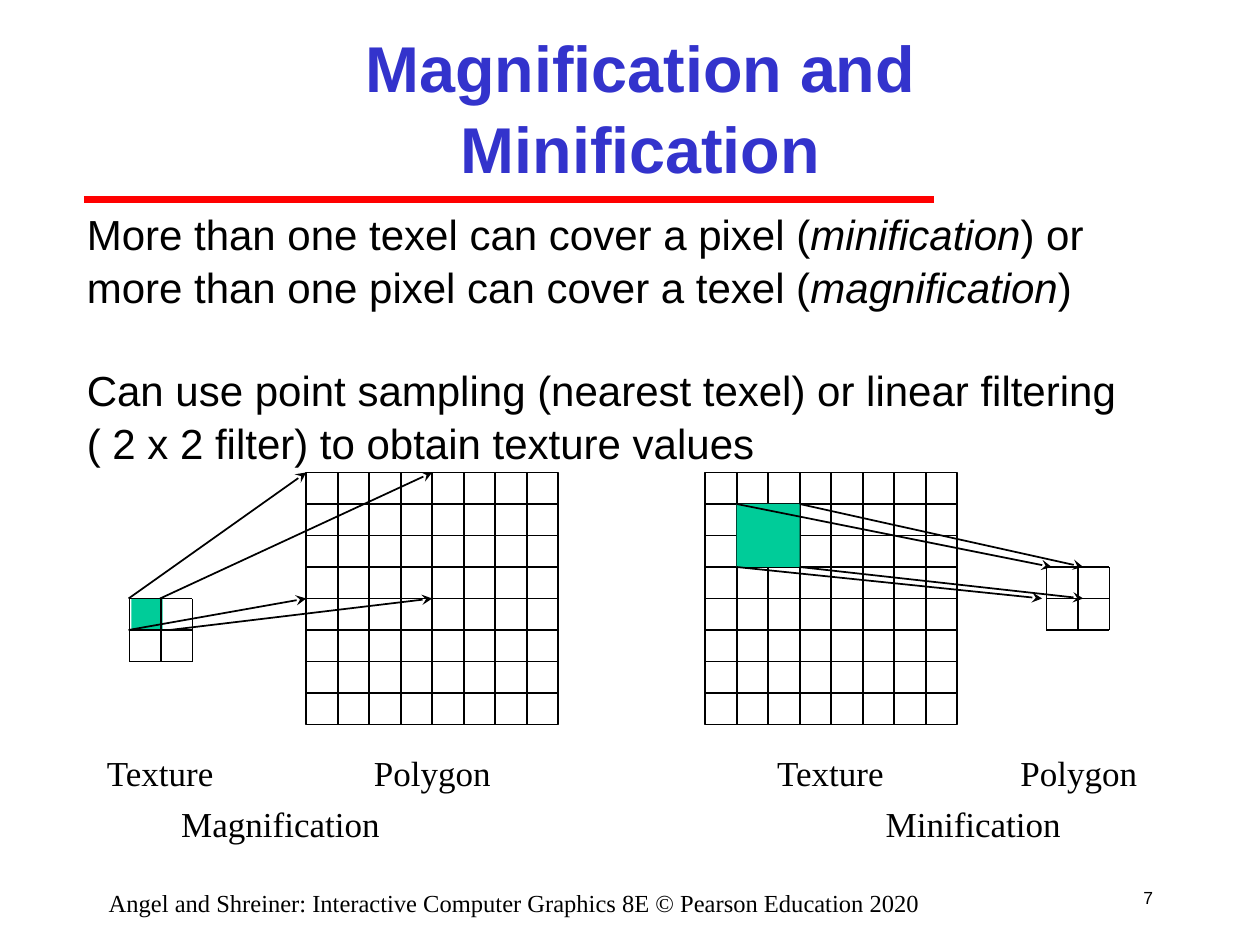
from pptx import Presentation
from pptx.dml.color import RGBColor
from pptx.enum import shapes, text
from pptx.oxml.ns import qn
from pptx.util import Pt
from lxml import etree

BLACK = RGBColor(0x00, 0x00, 0x00)
RED = RGBColor(0xFF, 0x00, 0x00)
BLUE = RGBColor(0x33, 0x33, 0xCC)
TEAL = RGBColor(0x00, 0xCC, 0x99)
SANS, SERIF = "Arial", "Times New Roman"
CELL = 18
TOP, LEFT, BOTTOM, RIGHT = range(4)


class Board:
    """Draws on one slide; all lengths are in points."""

    def __init__(self, s):
        self.s = s

    def line(self, x1, y1, x2, y2, color=BLACK, width=1, begin=None, end=None, arrow=False):
        """Draw a line; begin and end are optional (shape, site) joints."""
        c = self.s.shapes.add_connector(
            shapes.MSO_CONNECTOR.STRAIGHT, Pt(x1), Pt(y1), Pt(x2), Pt(y2))
        c.line.color.rgb = color
        c.line.width = Pt(width)
        if begin:
            c.begin_connect(*begin)
        if end:
            c.end_connect(*end)
        if arrow:
            etree.SubElement(c.line._get_or_add_ln(), qn("a:tailEnd"), type="stealth")
        etree.SubElement(c._element.spPr, qn("a:effectLst"))

    def square(self, x, y, size, fill=None):
        """Draw a filled square, or an outlined one when no fill is given."""
        sp = self.s.shapes.add_shape(
            shapes.MSO_SHAPE.RECTANGLE, Pt(x), Pt(y), Pt(size), Pt(size))
        sp.shadow.inherit = False
        if fill is not None:
            sp.fill.solid()
            sp.fill.fore_color.rgb = fill
            sp.line.fill.background()
        else:
            sp.fill.background()
            sp.line.color.rgb = BLACK
            sp.line.width = Pt(1)
        return sp

    def large_grid(self, x, y, n=8):
        """Draw a framed n by n grid and return its frame."""
        size = n * CELL
        frame = self.square(x, y, size)
        for i in range(1, n):
            d = i * CELL
            middle = 2 * i == n
            self.line(x, y + d, x + size, y + d,
                      begin=(frame, LEFT) if middle else None,
                      end=(frame, RIGHT) if middle else None)
            self.line(x + d, y, x + d, y + size,
                      begin=(frame, TOP) if middle else None,
                      end=(frame, BOTTOM) if middle else None)
        return frame

    def small_grid(self, x, y, n=2):
        size = n * CELL
        for d in range(0, size + 1, CELL):
            self.line(x + d, y, x + d, y + size)
            self.line(x, y + d, x + size, y + d)

    def text(self, x, y, w, h, paragraphs, size, font=SERIF, color=BLACK, bold=False,
             align=text.PP_ALIGN.LEFT, anchor=text.MSO_ANCHOR.TOP, wrap=True,
             spacing=None, gaps=None):
        """Add text; a paragraph is a list of runs, odd runs being italic.

        gaps maps a paragraph index to its space before.
        """
        tf = self.s.shapes.add_textbox(Pt(x), Pt(y), Pt(w), Pt(h)).text_frame
        tf.word_wrap = wrap
        tf.vertical_anchor = anchor
        for i, runs in enumerate(paragraphs):
            p = tf.paragraphs[0] if i == 0 else tf.add_paragraph()
            p.alignment = align
            if spacing:
                p.line_spacing = spacing
            if gaps and i in gaps:
                p.space_before = Pt(gaps[i])
            for j, words in enumerate(runs):
                r = p.add_run()
                r.text = words
                r.font.name = font
                r.font.size = Pt(size)
                r.font.bold = bold
                r.font.italic = j % 2 == 1
                r.font.color.rgb = color


def main():
    prs = Presentation()
    prs.slide_width, prs.slide_height = Pt(720), Pt(540)
    b = Board(prs.slides.add_slide(prs.slide_layouts[6]))

    b.line(48, 114, 534, 114, RED, 4)
    b.text(636, 498, 30, 30, [["7"]], 10, SANS,
           align=text.PP_ALIGN.RIGHT, anchor=text.MSO_ANCHOR.MIDDLE)
    b.text(108, 18, 516, 84, [["Magnification and Minification"]], 37, SANS, BLUE, True,
           text.PP_ALIGN.CENTER, text.MSO_ANCHOR.MIDDLE, spacing=1.05)

    # Magnification: one texel covers many pixels
    b.square(75, 342, CELL, TEAL)
    polygon = b.large_grid(175, 270)
    b.small_grid(74, 342)

    # Minification: many texels fall on one pixel
    b.large_grid(403, 270)
    b.small_grid(598, 324)
    b.square(421, 288, 2 * CELL, TEAL)

    for x, y, w, label in [
        (54, 426, 77, "Texture"), (206.5, 426, 81.5, "Polygon"),
        (96.5, 455, 128, "Magnification"), (499, 455, 114.5, "Minification"),
        (576, 426, 81.5, "Polygon"), (437, 426, 77, "Texture"),
    ]:
        b.text(x, y, w, 31, [[label]], 20, wrap=False)

    for x1, y1, x2, y2, joint in [
        (73.5, 342, 175, 270, None),
        (91.5, 342, 247, 270, (polygon, TOP)),
        (73.5, 360, 175, 342, (polygon, LEFT)),
        (97, 360, 247, 342, None),
        (457, 288, 619, 324, None),
        (457, 324, 619, 342, None),
        (421, 288, 601, 324, None),
        (421, 324, 595.5, 342, None),
    ]:
        b.line(x1, y1, x2, y2, end=joint, arrow=True)

    b.text(42.5, 114, 602.5, 180, [
        ["More than one texel can cover a pixel (", "minification", ") or"],
        ["more than one pixel can cover a texel (", "magnification", ")"],
        ["Can use point sampling (nearest texel) or linear filtering"],
        ["( 2 x 2 filter) to obtain texture values"],
    ], 24, SANS, wrap=False, spacing=1.05, gaps={2: 29})
    b.text(36, 504, 516, 18, [[
        "Angel and Shreiner: Interactive Computer Graphics 8E © Pearson Education 2020"]],
        14, align=text.PP_ALIGN.CENTER)

    prs.save("out.pptx")


if __name__ == "__main__":
    main()
